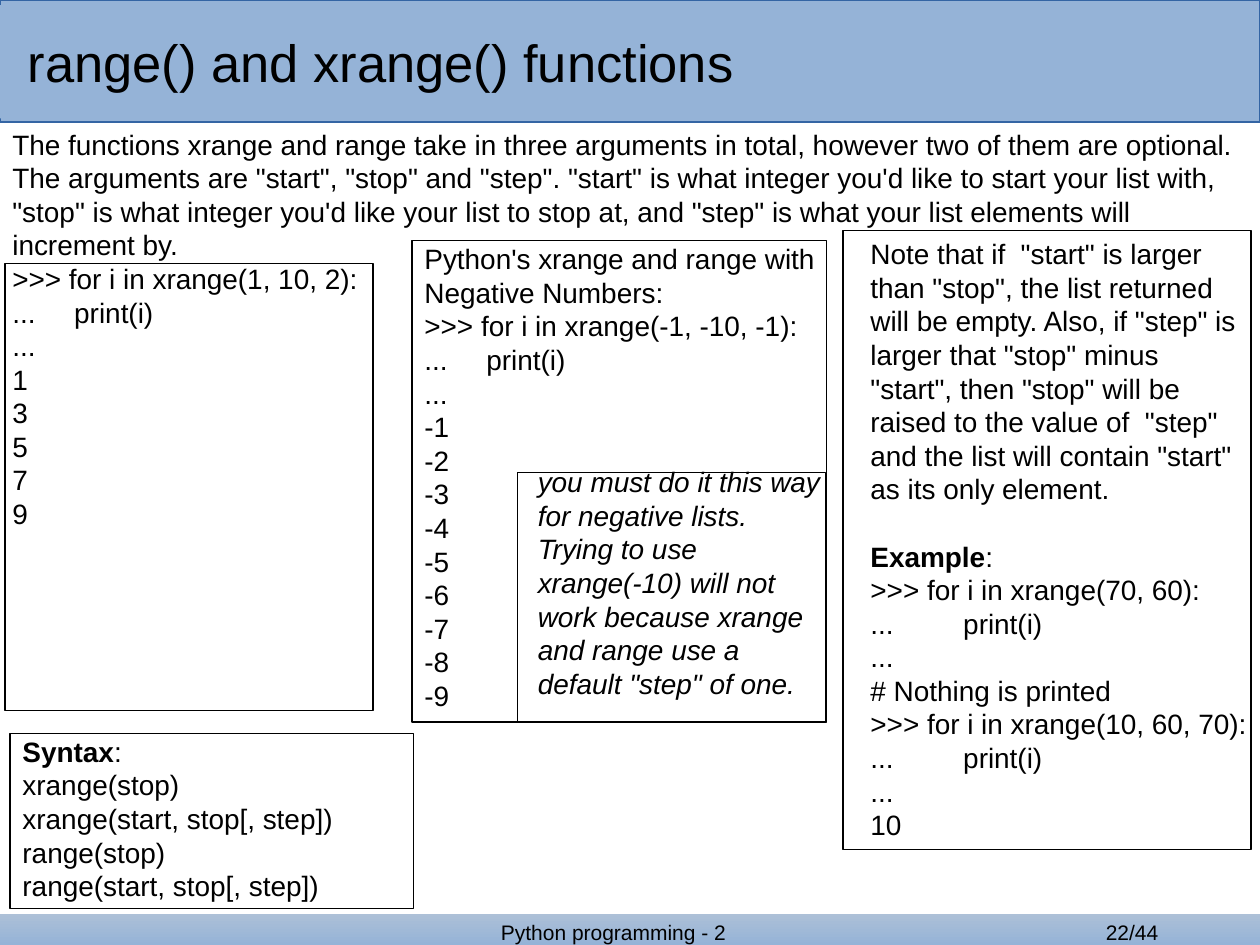
import pptx
import pptx.dml.color
import pptx.enum.shapes
import pptx.enum.text
import pptx.util

Inches = pptx.util.Inches
Pt = pptx.util.Pt
ALIGN = pptx.enum.text.PP_ALIGN
ANCHOR = pptx.enum.text.MSO_ANCHOR

HUES = {"ink": "000000", "band": "95B3D7", "pale": "ADC0D7", "edge": "3465A4"}
FORMAT = {"name": "Arial", "size": Pt(16), "bold": False, "italic": False}
GAP = Pt(19.2)  # one line of body text


def hue(name):
    return pptx.dml.color.RGBColor.from_string(HUES[name])


class Page:
    """Holds the text style and the slide being filled."""

    def __init__(self, slide, style):
        self.slide = slide
        self.style = style

    def rect(self, left, top, width, height, fill=None, line=None):
        shape = self.slide.shapes.add_shape(
            pptx.enum.shapes.MSO_SHAPE.RECTANGLE,
            *map(Inches, (left, top, width, height)))
        shape.shadow.inherit = False
        if fill:
            shape.fill.solid()
            shape.fill.fore_color.rgb = hue(fill)
        else:
            shape.fill.background()
        if line:
            shape.line.color.rgb = hue(line)
            shape.line.width = Pt(0)
        else:
            shape.line.fill.background()
        return shape

    def fade(self, box, low, high):
        """Add a band that runs from low at its foot to high at its top."""
        shape = self.rect(*box)
        shape.fill.gradient()
        shape.fill.gradient_angle = 90
        for stop, name, place in zip(shape.fill.gradient_stops, (low, high), (0, 1)):
            stop.color.rgb = hue(name)
            stop.position = place

    def run(self, para, text, **extra):
        run = para.add_run()
        run.text = text
        for key, value in {**self.style, **extra}.items():
            setattr(run.font, key, value)
        run.font.color.rgb = hue("ink")

    def text(self, box, lines, align=ALIGN.LEFT, **extra):
        """Add a text box; a line that is a pair is a bold head and its space before."""
        frame = self.slide.shapes.add_textbox(*map(Inches, box)).text_frame
        frame.word_wrap = True
        for num, line in enumerate(lines):
            para = frame.add_paragraph() if num else frame.paragraphs[0]
            para.alignment = align
            if isinstance(line, tuple):
                head, para.space_before = line
                self.run(para, head, bold=True)
                self.run(para, ":")
            else:
                self.run(para, line, **extra)

    def title(self, box, text):
        frame = self.rect(*box, fill="band").text_frame
        frame.word_wrap = True
        frame.margin_left = Inches(0.22)
        frame.vertical_anchor = ANCHOR.MIDDLE
        para = frame.paragraphs[0]
        para.alignment = ALIGN.LEFT
        self.run(para, text, size=Pt(30))


def loop(args, indent, *out):
    """Lines of a console session that loops over xrange(args)."""
    return [f">>> for i in xrange({args}):", "..." + " " * indent + "print(i)",
            "...", *map(str, out)]


def main():
    deck = pptx.Presentation()
    deck.slide_width, deck.slide_height = Inches(10), Inches(7.5)
    page = Page(deck.slides.add_slide(deck.slide_layouts[6]), FORMAT)

    page.rect(0, 0, 10, 0.97, fill="band", line="edge")
    page.fade((0, 7.25, 10, 0.25), "band", "pale")
    for left, width, words in ((3.25, 3.24, "Python programming - 2"),
                               (7.97, 2.03, "22/44")):
        page.text((left, 7.25, width, 0.25), [words], ALIGN.CENTER, size=Pt(12))
    page.title((0, 0.04, 8.35, 0.9), "range() and xrange() functions")

    page.text((0, 0.96, 10.06, 5.71), [
        'The functions xrange and range take in three arguments in total, '
        'however two of them are optional. The arguments are "start", "stop" '
        'and "step". "start" is what integer you\'d like to start your list '
        'with, "stop" is what integer you\'d like your list to stop at, and '
        '"step" is what your list elements will increment by.',
        *loop("1, 10, 2", 5, *range(1, 10, 2))])

    page.text((3.27, 1.87, 3.68, 4.09), [
        "Python's xrange and range with Negative Numbers:",
        *loop("-1, -10, -1", 5, *range(-1, -10, -1))])

    page.text((6.81, 1.83, 3.19, 5.25), [
        'Note that if  "start" is larger than "stop", the list returned will '
        'be empty. Also, if "step" is larger that "stop" minus "start", then '
        '"stop" will be raised to the value of  "step" and the list will '
        'contain "start" as its only element.',
        ("Example", GAP),
        *loop("70, 60", 9, "# Nothing is printed"),
        *loop("10, 60, 70", 9, 10)])

    page.text((4.17, 3.64, 2.46, 2.14), [
        'you must do it this way for negative lists. Trying to use '
        'xrange(-10) will not work because xrange and range use a default '
        '"step" of one.'], italic=True)

    page.text((0.08, 5.78, 6.42, 1.34), [
        ("Syntax", Pt(0)),
        *(f"{name}({args})" for name in ("xrange", "range")
          for args in ("stop", "start, stop[, step]"))])

    for frame in ((3.27, 1.91, 3.29, 3.82), (4.11, 3.75, 2.44, 1.98),
                  (6.69, 1.83, 3.24, 4.91), (0.08, 5.82, 3.2, 1.39),
                  (0.04, 2.09, 2.92, 3.55)):
        page.rect(*frame, line="ink")

    deck.save("out.pptx")


if __name__ == "__main__":
    main()
